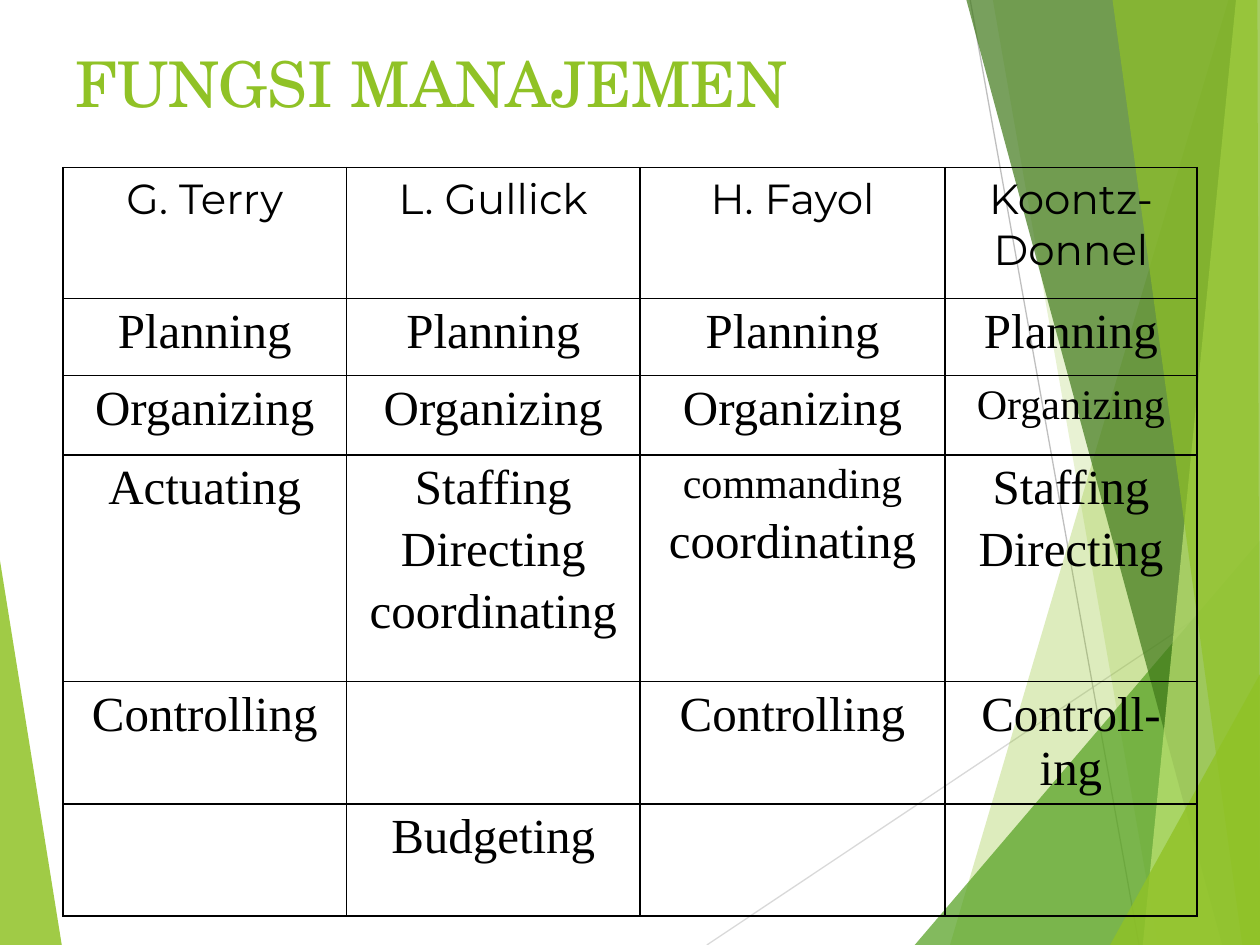
"""Build the slide comparing management functions by author."""
from dataclasses import dataclass

from lxml.etree import SubElement
from pptx import Presentation
from pptx.dml.color import RGBColor
from pptx.enum.text import MSO_ANCHOR, PP_ALIGN
from pptx.oxml.ns import qn
from pptx.util import Inches, Pt

LIME = RGBColor(0x90, 0xC2, 0x26)
GREEN = RGBColor(0x54, 0xA0, 0x21)
DARK_GREEN = RGBColor(0x3F, 0x78, 0x19)
PALE_GREEN = RGBColor(0xC0, 0xE4, 0x74)
LIGHT_GRAY = RGBColor(0xD9, 0xD9, 0xD9)
GRAY = RGBColor(0xBF, 0xBF, 0xBF)
BLACK = RGBColor(0, 0, 0)

TITLE_FONT = "TeX Gyre Schola"
HEADER_FONT = "Montserrat"
BODY_FONT = "Times New Roman"


@dataclass(frozen=True)
class Facet:
    color: RGBColor
    opacity: int
    points: tuple


@dataclass(frozen=True)
class Ray:
    color: RGBColor
    start: tuple
    end: tuple


@dataclass(frozen=True)
class Entry:
    text: str
    size: int = 28
    font: str = BODY_FONT


LEFT_FACET = Facet(LIME, 85, ((0, 4.45), (0.49, 7.5), (0, 7.5)))
RAYS = (
    Ray(LIGHT_GRAY, (5.61, 7.5), (10, 4.57)),
    Ray(GRAY, (7.7, 0), (9.04, 7.5)),
)
RIGHT_FACETS = (
    Facet(LIME, 30, ((9.75, 0), (7.54, 7.5), (10, 7.5), (10, 0))),
    Facet(LIME, 20, ((7.88, 0), (9.19, 7.5), (10, 7.5), (10, 0))),
    Facet(GREEN, 72, ((7.26, 7.5), (10, 4.29), (10, 7.5))),
    Facet(DARK_GREEN, 70, ((7.67, 0), (9.7, 7.5), (10, 7.5), (10, 0))),
    Facet(PALE_GREEN, 70, ((9.81, 0), (9.07, 7.5), (10, 7.5), (10, 0))),
    Facet(LIME, 65, ((8.83, 0), (9.86, 7.5), (10, 7.5), (9.98, 0))),
    Facet(LIME, 80, ((8.81, 7.5), (10, 5.35), (10, 7.5))),
)

COLUMN_WIDTHS = (2.25, 2.33, 2.42, 2)
ROW_HEIGHTS = (1.04, 0.61, 0.63, 1.8, 0.97, 0.89)
AUTHORS = ("G. Terry", "L. Gullick", "H. Fayol", "Koontz-Donnel")
PLANNING = Entry("Planning")
ORGANIZING = Entry("Organizing")
STAFFING = Entry("Staffing")
DIRECTING = Entry("Directing")
COORDINATING = Entry("coordinating")
CONTROLLING = Entry("Controlling")
FUNCTIONS = (
    tuple((Entry(author, 24, HEADER_FONT),) for author in AUTHORS),
    ((PLANNING,),) * 4,
    ((ORGANIZING,),) * 3 + ((Entry("Organizing", 24),),),
    (
        (Entry("Actuating"),),
        (STAFFING, DIRECTING, COORDINATING),
        (Entry("commanding", 24), COORDINATING),
        (STAFFING, DIRECTING),
    ),
    ((CONTROLLING,), (), (CONTROLLING,), (Entry("Controll-ing"),)),
    ((), (Entry("Budgeting"),), (), ()),
)


def write(paragraph, text: str, *, size: int, font: str, color: RGBColor,
          align=PP_ALIGN.CENTER, before: float = 0) -> None:
    paragraph.alignment = align
    paragraph.space_before = Pt(before)
    run = paragraph.add_run()
    run.text = text
    run.font.size = Pt(size)
    run.font.name = font
    run.font.color.rgb = color


def draw_facet(shapes, facet: Facet) -> None:
    start, *others = [(Inches(x), Inches(y)) for x, y in facet.points]
    builder = shapes.build_freeform(*start)
    builder.add_line_segments(others, close=True)
    shape = builder.convert_to_shape()
    shape.shadow.inherit = False
    shape.line.fill.background()
    shape.fill.solid()
    shape.fill.fore_color.rgb = facet.color
    tint = shape.element.spPr.find(qn("a:solidFill"))[0]
    SubElement(tint, qn("a:alpha"), val=str(facet.opacity * 1000))


def draw_ray(shapes, ray: Ray) -> None:
    line = shapes.add_connector(1, *map(Inches, ray.start + ray.end))
    line.line.color.rgb = ray.color
    line.line.width = Pt(0.75)
    SubElement(line.element.spPr, qn("a:effectLst"))


def outline_cell(cell) -> None:
    properties = cell._tc.get_or_add_tcPr()
    for edge in ("a:lnL", "a:lnR", "a:lnT", "a:lnB"):
        border = SubElement(properties, qn(edge), w=str(Pt(1)))
        fill = SubElement(border, qn("a:solidFill"))
        SubElement(fill, qn("a:srgbClr"), val=str(BLACK))
    cell.fill.background()


def fill_cell(cell, entries: tuple) -> None:
    outline_cell(cell)
    frame = cell.text_frame
    for index, entry in enumerate(entries):
        paragraph = frame.add_paragraph() if index else frame.paragraphs[0]
        write(paragraph, entry.text, size=entry.size, font=entry.font,
              color=BLACK, before=4.4 if index else 0)


def draw_functions(shapes) -> None:
    table = shapes.add_table(
        len(ROW_HEIGHTS), len(COLUMN_WIDTHS), Inches(0.5), Inches(1.33),
        Inches(sum(COLUMN_WIDTHS)), Inches(sum(ROW_HEIGHTS))).table
    table.first_row = table.horz_banding = False
    for column, width in zip(table.columns, COLUMN_WIDTHS):
        column.width = Inches(width)
    for row, height, functions in zip(table.rows, ROW_HEIGHTS, FUNCTIONS):
        row.height = Inches(height)
        for cell, entries in zip(row.cells, functions):
            fill_cell(cell, entries)


def place_title(title) -> None:
    title.left, title.top = Inches(0.5), Inches(0.3)
    title.width, title.height = Inches(9), Inches(0.87)
    title.text_frame.vertical_anchor = MSO_ANCHOR.TOP
    write(title.text_frame.paragraphs[0], "FUNGSI MANAJEMEN", size=36,
          font=TITLE_FONT, color=LIME, align=PP_ALIGN.LEFT)
    title.element.getparent().append(title.element)


def main() -> None:
    deck = Presentation()
    deck.slide_width, deck.slide_height = Inches(10), Inches(7.5)
    slide = deck.slides.add_slide(deck.slide_layouts[5])
    draw_facet(slide.shapes, LEFT_FACET)
    for ray in RAYS:
        draw_ray(slide.shapes, ray)
    for facet in RIGHT_FACETS:
        draw_facet(slide.shapes, facet)
    place_title(slide.shapes.title)
    draw_functions(slide.shapes)
    deck.save("out.pptx")


if __name__ == "__main__":
    main()
